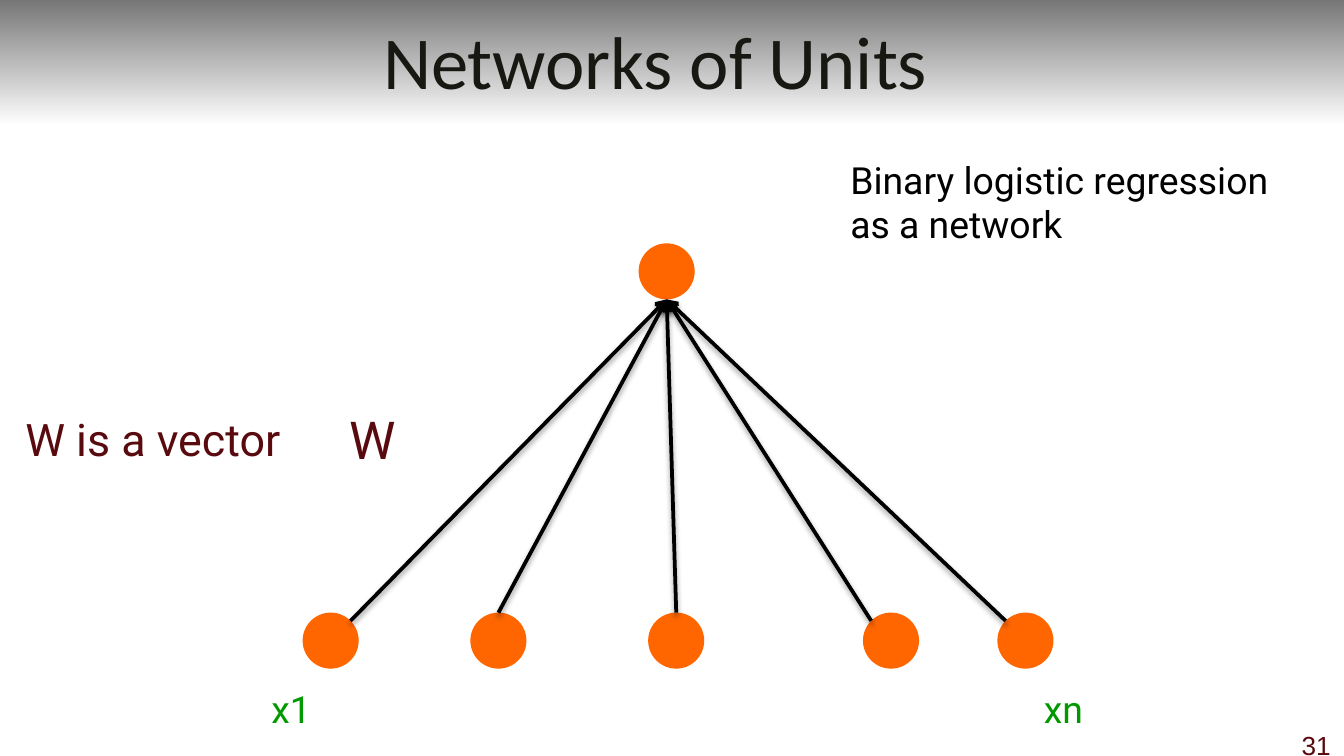
from math import sqrt
from lxml import etree
from pptx import Presentation
from pptx.dml.color import RGBColor
from pptx.enum.shapes import MSO_CONNECTOR as Connector, MSO_SHAPE as Shape
from pptx.enum.text import MSO_ANCHOR as Anchor, PP_ALIGN as Align
from pptx.oxml.ns import qn
from pptx.util import Cm, Pt

COLORS = {
    "band_top": "777777", "band_bottom": "FFFFFF", "title": "181813",
    "unit": "FF6600", "arrow": "000000", "weight": "590A0E",
    "input": "009900", "caption": "000000",
}
SLIDE_WIDTH, SLIDE_HEIGHT = 25.4, 14.29
BAND_HEIGHT = 2.39
RADIUS = 0.53
DIAGONAL = RADIUS / sqrt(2)
OUTPUT = (12.6, 5.13)
INPUT_Y = 12.11
INPUTS = [(6.25, "right"), (9.42, "top"), (12.78, "top"), (16.84, "left"), (19.38, "left")]
EXITS = {
    "left": (-DIAGONAL, -DIAGONAL),
    "top": (0, -RADIUS),
    "right": (DIAGONAL, -DIAGONAL),
}
LABELS = [
    ("Networks of Units", (0, 0, 24.77, 2.24),
     dict(size=40, color="title", font="Calibri", align=Align.CENTER, anchor=Anchor.MIDDLE)),
    ("31", (24.13, 13.67, 1.27, 0.63),
     dict(size=14, color="weight", font="Arial", align=Align.RIGHT)),
    ("W", (6.35, 7.57, 1.27, 1.45), dict(size=28, color="weight")),
    ("xn", (19.48, 12.85, 1.27, 1.12), dict(size=20, color="input", wrap=False)),
    ("x1", (4.88, 12.85, 1.27, 1.12), dict(size=20, color="input")),
    ("Binary logistic regression as a network", (15.82, 2.84, 8.99, 2.82),
     dict(size=20, color="caption")),
    ("W is a vector", (0.23, 7.65, 5.44, 1.27), dict(size=24, color="weight", wrap=False)),
]


def rgb(name):
    return RGBColor.from_string(COLORS[name])


def add_text(slide, text, box, *, size, color, font="Roboto",
             align=Align.LEFT, anchor=Anchor.TOP, wrap=True):
    frame = slide.shapes.add_textbox(*map(Cm, box)).text_frame
    frame.word_wrap = wrap
    frame.vertical_anchor = anchor
    paragraph = frame.paragraphs[0]
    paragraph.alignment = align
    run = paragraph.add_run()
    run.text = text
    run.font.name = font
    run.font.size = Pt(size)
    run.font.color.rgb = rgb(color)


def add_band(slide):
    band = slide.shapes.add_shape(Shape.RECTANGLE, 0, 0, Cm(SLIDE_WIDTH), Cm(BAND_HEIGHT))
    band.shadow.inherit = False
    band.line.fill.background()
    band.fill.gradient()
    band.fill.gradient_angle = 270
    for stop, position, name in zip(band.fill.gradient_stops, (0, 1), ("band_top", "band_bottom")):
        stop.position = position
        stop.color.rgb = rgb(name)


def add_unit(slide, x, y):
    unit = slide.shapes.add_shape(
        Shape.OVAL, Cm(x - RADIUS), Cm(y - RADIUS), Cm(2 * RADIUS), Cm(2 * RADIUS))
    unit.shadow.inherit = False
    unit.fill.solid()
    unit.fill.fore_color.rgb = rgb("unit")
    unit.line.fill.background()


def add_arrow(slide, start, end):
    arrow = slide.shapes.add_connector(Connector.STRAIGHT, *map(Cm, (*start, *end)))
    arrow.line.width = Pt(2)
    arrow.line.color.rgb = rgb("arrow")
    properties = arrow.line._get_or_add_ln().getparent()
    etree.SubElement(properties.find(qn("a:ln")), qn("a:tailEnd"), type="arrow")
    effects = etree.SubElement(properties, qn("a:effectLst"))
    shadow = etree.SubElement(effects, qn("a:outerShdw"), blurRad=str(Pt(3.1)),
                              dist=str(Pt(1.6)), dir="5400000", rotWithShape="0")
    tint = etree.SubElement(shadow, qn("a:srgbClr"), val=COLORS["arrow"])
    etree.SubElement(tint, qn("a:alpha"), val="38000")


def main():
    deck = Presentation()
    deck.slide_width, deck.slide_height = Cm(SLIDE_WIDTH), Cm(SLIDE_HEIGHT)
    slide = deck.slides.add_slide(deck.slide_layouts[6])
    add_band(slide)
    output_x, output_y = OUTPUT
    add_unit(slide, output_x, output_y)
    for x, _ in INPUTS:
        add_unit(slide, x, INPUT_Y)
    for x, side in INPUTS:
        dx, dy = EXITS[side]
        add_arrow(slide, (x + dx, INPUT_Y + dy), (output_x, output_y + RADIUS))
    for text, box, style in LABELS:
        add_text(slide, text, box, **style)
    deck.save("out.pptx")


if __name__ == "__main__":
    main()
